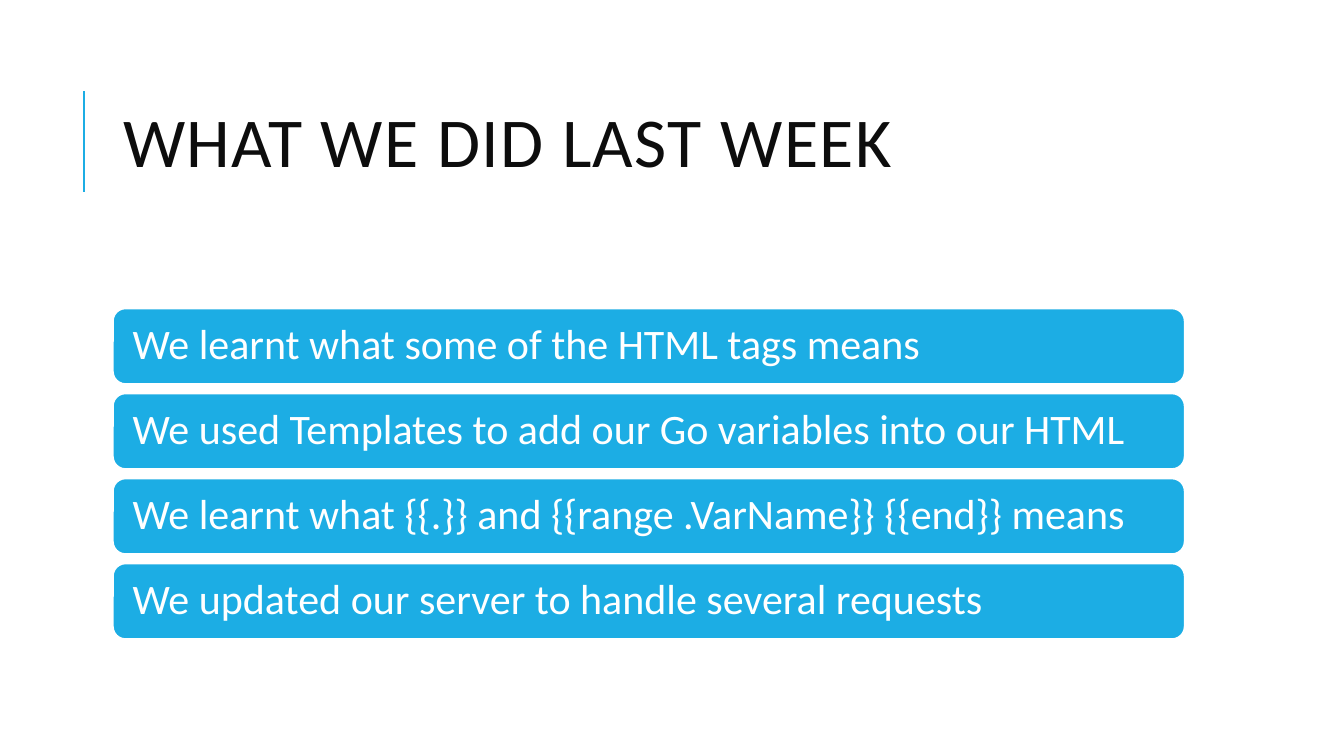
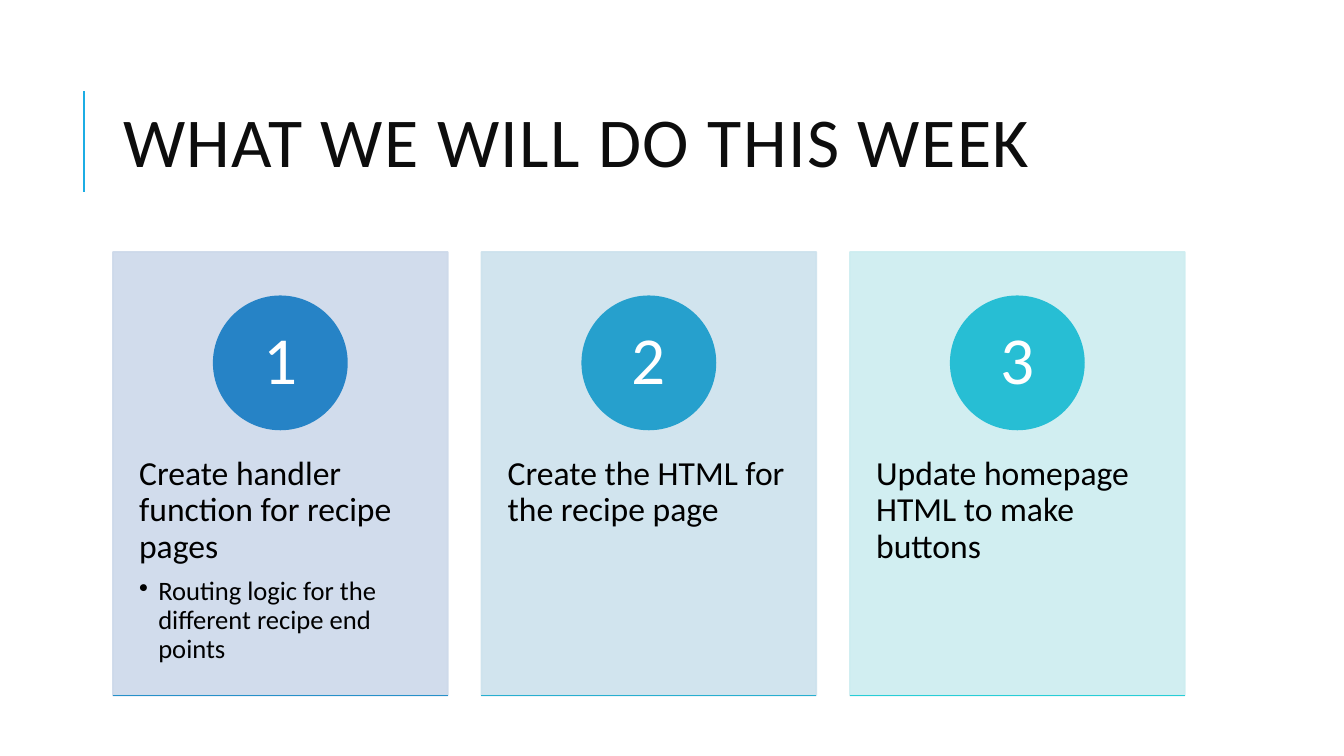
from lxml.etree import SubElement
from pptx import Presentation
from pptx.dml.color import RGBColor
from pptx.enum.shapes import MSO_CONNECTOR, MSO_SHAPE
from pptx.enum.text import MSO_ANCHOR, MSO_AUTO_SIZE, PP_ALIGN
from pptx.oxml.ns import qn
from pptx.util import Inches, Pt

ACCENT = RGBColor(0x1C, 0xAD, 0xE4)
TITLE_INK = RGBColor(0x0D, 0x0D, 0x0D)
BLACK = RGBColor(0x00, 0x00, 0x00)
WHITE = RGBColor(0xFF, 0xFF, 0xFF)

LEFT, WIDTH = 1.12, 10.63
BAR_TOP, BAR_HEIGHT, LAST_BAR_TOP = 3.06, 0.75, 5.59
CARD_TOP, CARD_WIDTH, CARD_HEIGHT = 2.5, 3.32, 4.4
CIRCLE_TOP, CIRCLE_SIZE = 2.94, 1.32

LESSONS = [
    "We learnt what some of the HTML tags means",
    "We used Templates to add our Go variables into our HTML",
    "We learnt what {{.}} and {{range .VarName}} {{end}} means",
    "We updated our server to handle several requests",
]
TASKS = [
    ("Create handler function for recipe pages",
     "Routing logic for the different recipe end points",
     RGBColor(0xCD, 0xD9, 0xEA), RGBColor(0x26, 0x83, 0xC6), RGBColor(0x26, 0x91, 0xC9)),
    ("Create the HTML for the recipe page", None,
     RGBColor(0xCD, 0xE2, 0xED), RGBColor(0x26, 0xA0, 0xCD), RGBColor(0x27, 0xAF, 0xD0)),
    ("Update homepage HTML to make buttons", None,
     RGBColor(0xCD, 0xED, 0xF0), RGBColor(0x27, 0xBE, 0xD4), RGBColor(0x27, 0xCE, 0xD7)),
]


def set_all(target, values):
    """Set each named attribute of the target."""
    for name, value in values.items():
        setattr(target, name, value)


class SlideBuilder:
    """Holds the deck style and the current slide."""

    font_name = "Calibri"

    def __init__(self):
        """Start a widescreen deck."""
        self.deck = Presentation()
        set_all(self.deck, {"slide_width": Inches(13.33), "slide_height": Inches(7.5)})
        self.page = None

    def add_page(self, title):
        """Add a page with the title and its accent line."""
        self.page = self.deck.slides.add_slide(self.deck.slide_layouts[5])
        self.line(0.83, 1.9, 0.83, 0.9, ACCENT, 1.5)
        box = self.page.shapes.title
        set_all(box, {"left": Inches(LEFT), "top": Inches(0.64),
                      "width": Inches(WIDTH), "height": Inches(1.64)})
        self.frame(box, MSO_ANCHOR.MIDDLE, (0.1, 0.05, 0.1, 0.05))
        span = self.add_text(box.text_frame.paragraphs[0], title, 50, TITLE_INK, spacing=0.8)
        span._r.get_or_add_rPr().set("spc", "100")

    def line(self, x1, y1, x2, y2, color, weight):
        """Draw a straight line without a shadow."""
        line = self.page.shapes.add_connector(
            MSO_CONNECTOR.STRAIGHT, Inches(x1), Inches(y1), Inches(x2), Inches(y2))
        line.line.color.rgb = color
        line.line.width = Pt(weight)
        SubElement(line._element.spPr, qn("a:effectLst"))

    def shape(self, kind, left, top, width, height, fill, outline):
        """Draw a filled and outlined preset shape."""
        shape = self.page.shapes.add_shape(
            kind, Inches(left), Inches(top), Inches(width), Inches(height))
        shape.shadow.inherit = False
        shape.fill.solid()
        shape.fill.fore_color.rgb = fill
        shape.line.color.rgb = outline
        shape.line.width = Pt(1.25)
        return shape

    def frame(self, box, anchor, margins):
        """Set the anchor and the left, top, right and bottom margins."""
        sides = ("margin_left", "margin_top", "margin_right", "margin_bottom")
        values = {"word_wrap": True, "auto_size": MSO_AUTO_SIZE.NONE, "vertical_anchor": anchor}
        values.update(zip(sides, map(Inches, margins)))
        set_all(box.text_frame, values)

    def add_text(self, para, text, size, color, align=PP_ALIGN.LEFT, spacing=0.9, after=0):
        """Add one formatted run to a paragraph."""
        set_all(para, {"alignment": align, "line_spacing": spacing,
                       "space_before": Pt(0), "space_after": Pt(after)})
        span = para.add_run()
        span.text = text
        set_all(span.font, {"name": self.font_name, "size": Pt(size)})
        span.font.color.rgb = color
        return span

    def bullet(self, para):
        """Give a paragraph a hanging bullet."""
        properties = para._p.get_or_add_pPr()
        properties.set("marL", str(Inches(0.19)))
        properties.set("indent", str(-Inches(0.19)))
        SubElement(properties, qn("a:buChar")).set("char", "•")

    def bar(self, top, text):
        """Draw a rounded bar with one statement."""
        bar = self.shape(MSO_SHAPE.ROUNDED_RECTANGLE, LEFT, top, WIDTH, BAR_HEIGHT, ACCENT, WHITE)
        self.frame(bar, MSO_ANCHOR.MIDDLE, (0.16, 0.12, 0.16, 0.12))
        self.add_text(bar.text_frame.paragraphs[0], text, 30, WHITE)

    def card(self, left, number, task, detail, tint, circle_color, edge_color):
        """Draw a numbered task card."""
        card = self.shape(MSO_SHAPE.RECTANGLE, left, CARD_TOP, CARD_WIDTH, CARD_HEIGHT, tint, tint)
        for color in card._element.spPr.iter(qn("a:srgbClr")):
            SubElement(color, qn("a:alpha")).set("val", "90000")
        self.frame(card, MSO_ANCHOR.TOP, (0.26, 2.03, 0.26, 0.1))
        self.add_text(card.text_frame.paragraphs[0], task, 24, BLACK, after=9)
        if detail:
            para = card.text_frame.add_paragraph()
            self.bullet(para)
            self.add_text(para, detail, 19, BLACK)
        circle = self.shape(MSO_SHAPE.OVAL, left + (CARD_WIDTH - CIRCLE_SIZE) / 2, CIRCLE_TOP,
                            CIRCLE_SIZE, CIRCLE_SIZE, circle_color, circle_color)
        self.frame(circle, MSO_ANCHOR.MIDDLE, (0.1, 0.01, 0.1, 0.01))
        self.add_text(circle.text_frame.paragraphs[0], str(number), 48, WHITE, PP_ALIGN.CENTER)
        bottom = CARD_TOP + CARD_HEIGHT
        self.line(left, bottom, left + CARD_WIDTH, bottom, edge_color, 1.25)


def main():
    """Build and save both pages."""
    builder = SlideBuilder()
    builder.add_page("WHAT WE DID LAST WEEK")
    bar_step = (LAST_BAR_TOP - BAR_TOP) / (len(LESSONS) - 1)
    for index, lesson in enumerate(LESSONS):
        builder.bar(BAR_TOP + index * bar_step, lesson)

    builder.add_page("WHAT WE WILL DO THIS WEEK")
    card_step = (WIDTH - CARD_WIDTH) / (len(TASKS) - 1)
    for index, task in enumerate(TASKS):
        builder.card(LEFT + index * card_step, index + 1, *task)
    builder.deck.save("out.pptx")


if __name__ == "__main__":
    main()
